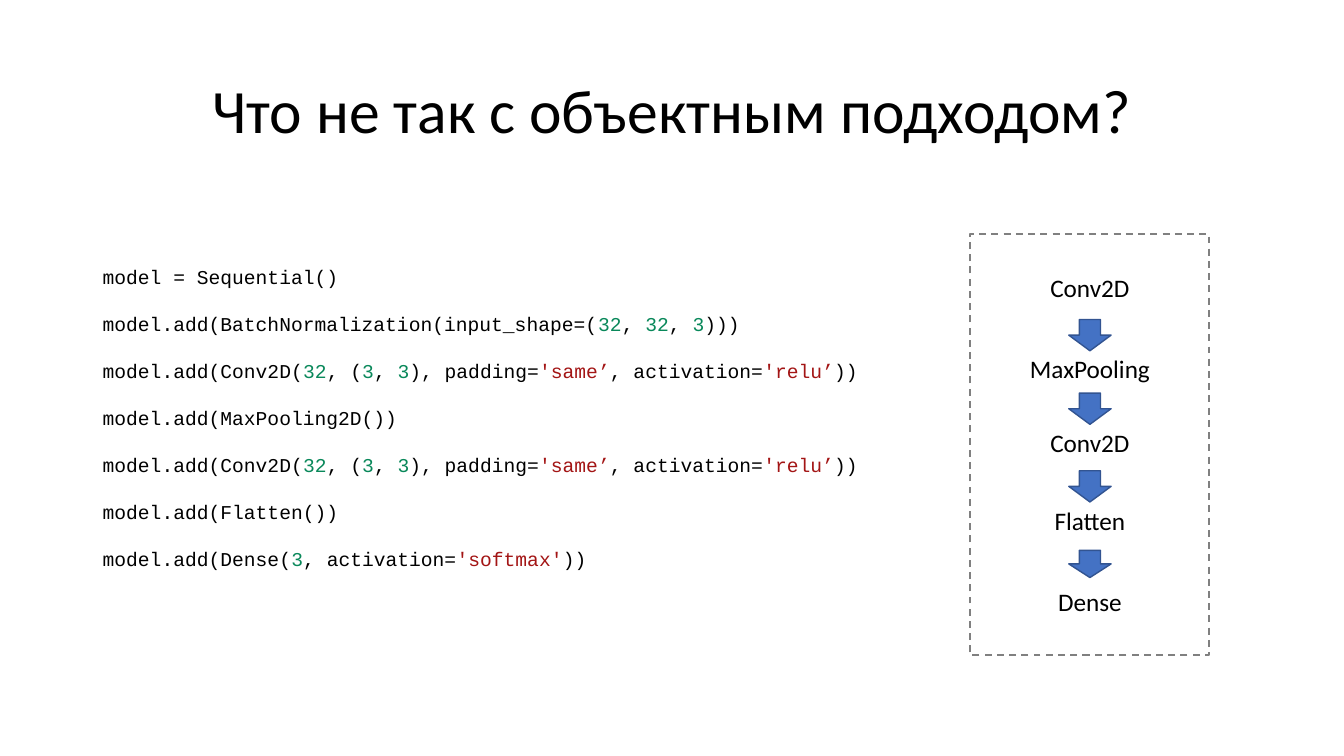
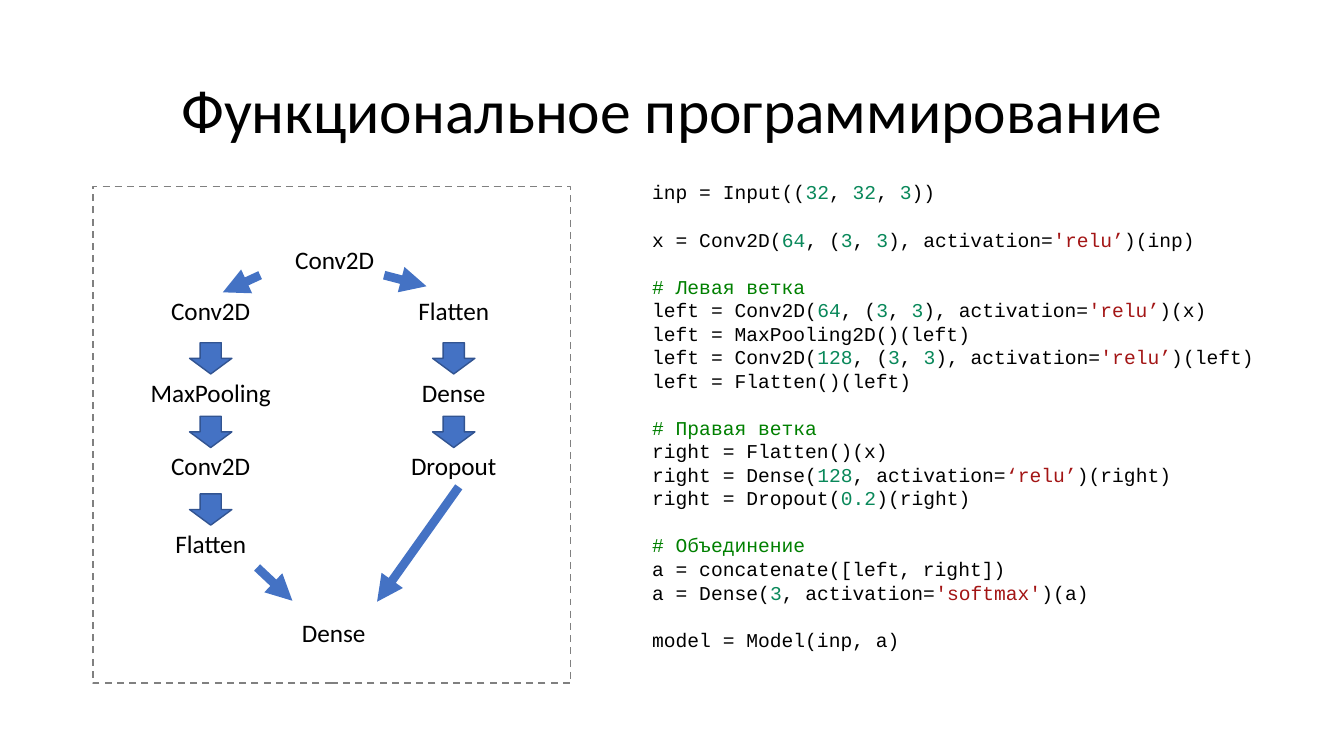
"""Build two slides comparing sequential and functional network code."""
from pptx import Presentation
from pptx.dml.color import RGBColor
from pptx.enum.dml import MSO_LINE
from pptx.enum.shapes import MSO_CONNECTOR as Connector, MSO_SHAPE as Preset
from pptx.enum.text import MSO_ANCHOR as Anchor, PP_ALIGN as Align
from pptx.oxml.ns import qn
from pptx.oxml.xmlchemy import OxmlElement
from pptx.util import Inches, Pt

BLACK, BLUE, NAVY, GRAY = "000000", "4472C4", "325491", "808080"
NUMBER, STRING, COMMENT = "09885A", "A31515", "008000"
TITLE = {"name": "Calibri", "size": Pt(44), "bold": False}
LABEL = {"name": "Calibri", "size": Pt(18)}
CODE = {"name": "Courier New", "size": Pt(14)}
CODE_LINE = Pt(16.8)

LABEL_WIDTHS = {"Conv2D": 1, "MaxPooling": 1.4, "Flatten": 0.92, "Dense": 0.84, "Dropout": 1.06}
LABEL_DROPS = [0, 0.81, 1.54, 2.31, 3.12]
ARROW_DROPS = [(0.52, 0.31), (1.25, 0.31), (2.02, 0.31), (2.81, 0.27)]

CONV_LINE = "model.add(Conv2D(|32|, (|3|, |3|), padding=|'same’|, activation=|'relu’|))"
SEQUENTIAL_CODE = [
    ["model = Sequential()"],
    ["model.add(BatchNormalization(input_shape=(|32|, |32|, |3|)))"],
    [CONV_LINE],
    ["model.add(MaxPooling2D())"],
    [CONV_LINE],
    ["model.add(Flatten())"],
    ["model.add(Dense(|3|, activation=|'softmax'|))"],
]
FUNCTIONAL_CODE = [
    ["inp = Input((|32|, |32|, |3|))"],
    ["x = Conv2D(|64|, (|3|, |3|), activation=|'relu’|)(inp)"],
    [
        "|# Левая ветка",
        "left = Conv2D(|64|, (|3|, |3|), activation=|'relu’|)(x)",
        "left = MaxPooling2D()(left)",
        "left = Conv2D(|128|, (|3|, |3|), activation=|'relu’|)(left)",
        "left = Flatten()(left)",
    ],
    [
        "|# Правая ветка",
        "right = Flatten()(x)",
        "right = Dense(|128|, activation=|‘relu’|)(right)",
        "right = Dropout(|0.2|)(right)",
    ],
    [
        "|# Объединение",
        "a = concatenate([left, right])",
        "a = Dense(|3|, activation=|'softmax'|)(a)",
    ],
    ["model = Model(inp, a)"],
]

PAGES = [
    {
        "title": "Что не так с объектным подходом?",
        "frame": (9.62, 2.32, 2.37, 4.18),
        "stacks": [(10.81, 2.65, ["Conv2D", "MaxPooling", "Conv2D", "Flatten", "Dense"])],
        "links": [],
        "code_box": (0.92, 2.58, 7.84, 3.4),
        "code": SEQUENTIAL_CODE,
    },
    {
        "title": "Функциональное программирование",
        "frame": (0.92, 1.85, 4.74, 4.93),
        "stacks": [
            (3.32, 2.37, ["Conv2D"]),
            (2.09, 2.88, ["Conv2D", "MaxPooling", "Conv2D", "Flatten"]),
            (4.5, 2.88, ["Flatten", "Dense", "Dropout"]),
            (3.31, 6.08, ["Dense"]),
        ],
        "links": [
            (3.81, 2.73, 4.23, 2.84),
            (2.58, 2.73, 2.21, 2.9),
            (2.55, 5.63, 2.9, 5.96),
            (4.55, 4.83, 3.74, 5.97),
        ],
        "code_box": (6.37, 1.74, 6.67, 5.05),
        "code": FUNCTIONAL_CODE,
    },
]


def color(value):
    """Turn a hex string into a colour."""
    return RGBColor.from_string(value)


def write(para, text, look, tone=BLACK):
    """Add a formatted span to a paragraph."""
    span = para.add_run()
    span.text = text
    for name, value in look.items():
        setattr(span.font, name, value)
    span.font.color.rgb = color(tone)


deck = Presentation()
deck.slide_width, deck.slide_height = Inches(13.33), Inches(7.5)
title_only = deck.slide_layouts[5]

for content in PAGES:
    page = deck.slides.add_slide(title_only)
    title = page.shapes.title
    place = {"left": 0.92, "top": 0.4, "width": 11.5, "height": 1.45}
    for name, value in place.items():
        setattr(title, name, Inches(value))
    title.text_frame.vertical_anchor = Anchor.MIDDLE
    para = title.text_frame.paragraphs[0]
    para.alignment, para.line_spacing = Align.CENTER, 0.9
    write(para, content["title"], TITLE)

    frame = page.shapes.add_shape(Preset.RECTANGLE, *map(Inches, content["frame"]))
    frame.shadow.inherit = False
    frame.fill.background()
    frame.line.color.rgb = color(GRAY)
    frame.line.width, frame.line.dash_style = Pt(1.25), MSO_LINE.DASH

    for center, top, labels in content["stacks"]:
        for label, drop in zip(labels, LABEL_DROPS):
            width = LABEL_WIDTHS[label]
            box = page.shapes.add_textbox(
                Inches(center - width / 2), Inches(top + drop), Inches(width), Inches(0.4))
            box.text_frame.word_wrap = False
            para = box.text_frame.paragraphs[0]
            para.alignment = Align.CENTER
            write(para, label, LABEL)
        for drop, height in ARROW_DROPS[:len(labels) - 1]:
            arrow = page.shapes.add_shape(
                Preset.DOWN_ARROW, Inches(center - 0.21), Inches(top + drop),
                Inches(0.42), Inches(height))
            arrow.shadow.inherit = False
            arrow.fill.solid()
            arrow.fill.fore_color.rgb = color(BLUE)
            arrow.line.color.rgb = color(NAVY)
            arrow.line.width = Pt(1)

    for ends in content["links"]:
        link = page.shapes.add_connector(Connector.STRAIGHT, *map(Inches, ends))
        link.line.color.rgb = color(BLUE)
        link.line.width = Pt(6.25)
        head = OxmlElement("a:tailEnd")
        head.set("type", "triangle")
        properties = link._element.spPr
        properties.find(qn("a:ln")).append(head)
        properties.append(OxmlElement("a:effectLst"))

    box = page.shapes.add_textbox(*map(Inches, content["code_box"]))
    box.text_frame.word_wrap = True
    para = box.text_frame.paragraphs[0]
    for block_index, block in enumerate(content["code"]):
        for line_index, line in enumerate(block):
            if block_index or line_index:
                para = box.text_frame.add_paragraph()
            para.line_spacing = CODE_LINE
            if block_index and line_index == 0:
                para.space_before = CODE_LINE
            for position, part in enumerate(line.split("|")):
                if not part:
                    continue
                tone = BLACK
                if position % 2:
                    tone = {"#": COMMENT, "'": STRING, "‘": STRING}.get(part[0], NUMBER)
                write(para, part, CODE, tone)

deck.save("out.pptx")
